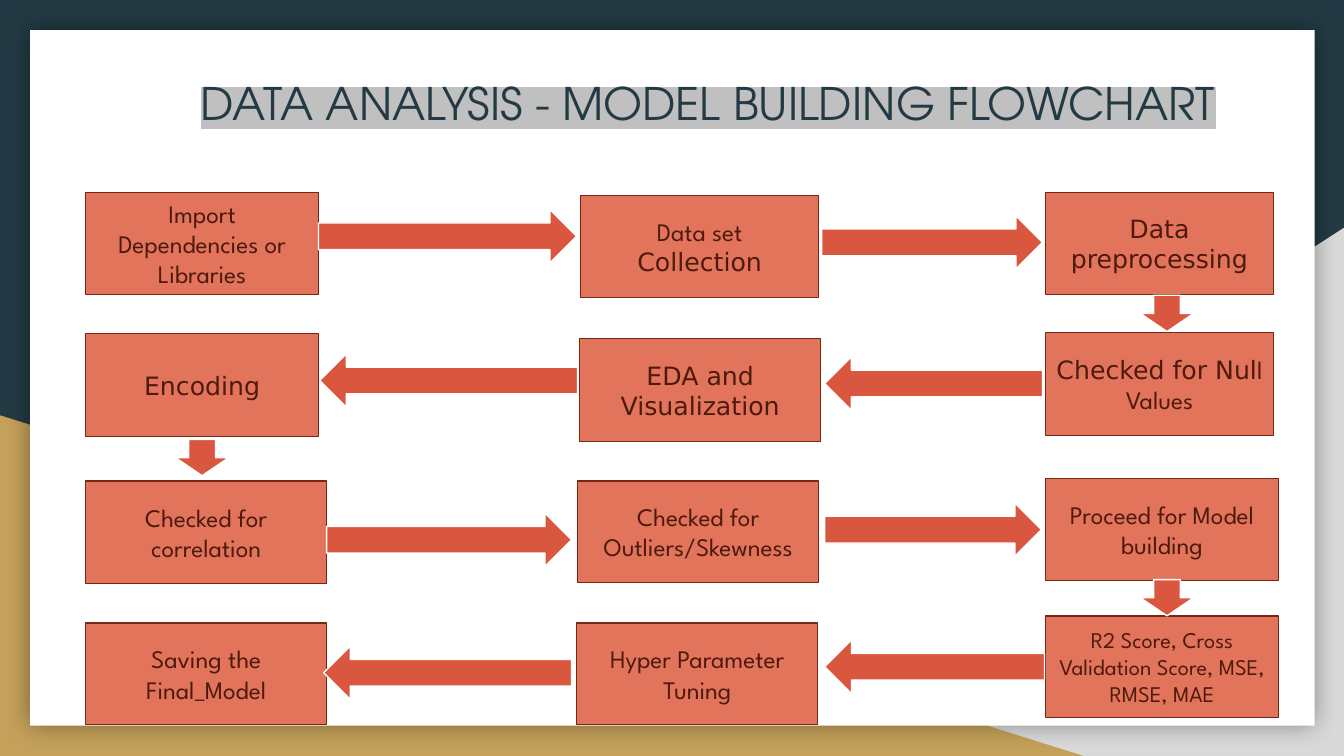
from dataclasses import dataclass

from pptx import Presentation
from pptx.dml.color import RGBColor
from pptx.enum.shapes import MSO_SHAPE
from pptx.enum.text import MSO_ANCHOR, PP_ALIGN
from pptx.oxml import parse_xml
from pptx.oxml.ns import nsdecls
from pptx.util import Inches, Pt

RECTANGLE = MSO_SHAPE.RECTANGLE
PROCESS = MSO_SHAPE.FLOWCHART_PROCESS
TRIANGLE = MSO_SHAPE.RIGHT_TRIANGLE
RIGHT, LEFT, DOWN = MSO_SHAPE.RIGHT_ARROW, MSO_SHAPE.LEFT_ARROW, MSO_SHAPE.DOWN_ARROW
CENTER = PP_ALIGN.CENTER
TOP, MIDDLE = MSO_ANCHOR.TOP, MSO_ANCHOR.MIDDLE


@dataclass(frozen=True)
class Theme:
    navy: str = "233A44"
    gray: str = "D9D9D9"
    gold: str = "C4A15A"
    white: str = "FFFFFF"
    highlight: str = "C0C0C0"
    box: str = "E1745A"
    box_line: str = "772815"
    box_text: str = "4F1A0E"
    arrow: str = "D9563F"
    title_font: str = "TeX Gyre Adventor"
    spartan: str = "League Spartan"
    sans: str = "DejaVu Sans"
    title_size: int = 32
    box_size: int = 18
    small_size: int = 16


theme = Theme()

presentation = Presentation()
presentation.slide_width = Inches(13.33)
presentation.slide_height = Inches(7.5)
slide = presentation.slides.add_slide(presentation.slide_layouts[5])
shapes = slide.shapes


def add_filled(kind, left, top, width, height, fill, line=None):
    shape = shapes.add_shape(kind, Inches(left), Inches(top), Inches(width), Inches(height))
    shape.shadow.inherit = False
    shape.fill.solid()
    shape.fill.fore_color.rgb = RGBColor.from_string(fill)
    if line:
        shape.line.color.rgb = RGBColor.from_string(line)
        shape.line.width = Pt(1)
    else:
        shape.line.fill.background()
    return shape


def format_run(run, font, size, color):
    run.font.name = font
    run.font.size = Pt(size)
    run.font.color.rgb = RGBColor.from_string(color)


# Backdrop: navy ground, two corner triangles and a white sheet with a soft shadow
slide.background.fill.solid()
slide.background.fill.fore_color.rgb = RGBColor.from_string(theme.navy)
gray_corner = add_filled(TRIANGLE, 5.22, 2.26, 8.11, 5.24, theme.gray)
gray_corner._element.spPr.get_or_add_xfrm().set("flipH", "1")
add_filled(TRIANGLE, 0, 4.12, 10.75, 3.38, theme.gold)
sheet = add_filled(RECTANGLE, 0.3, 0.3, 12.74, 6.9, theme.white)
sheet_properties = sheet._element.spPr
sheet_properties.remove(sheet_properties.effectLst)
sheet_properties.append(parse_xml(
    f'<a:effectLst {nsdecls("a")}><a:outerShdw blurRad="{Pt(18)}" dist="0" dir="0" algn="ctr" '
    'rotWithShape="0"><a:srgbClr val="000000"><a:alpha val="40000"/></a:srgbClr>'
    '</a:outerShdw></a:effectLst>'))

# Title, brought in front of the sheet
title = shapes.title
shapes._spTree.append(title._element)
title.left, title.top = Inches(0.22), Inches(0.76)
title.width, title.height = Inches(13.61), Inches(0.64)
title.text_frame.text = "DATA ANALYSIS - MODEL BUILDING FLOWCHART"
title.text_frame.vertical_anchor = TOP
title_paragraph = title.text_frame.paragraphs[0]
title_paragraph.alignment = CENTER
title_paragraph.line_spacing = 0.9
title_run = title_paragraph.runs[0]
format_run(title_run, theme.title_font, theme.title_size, theme.navy)
title_run._r.rPr.find("{*}solidFill").addnext(parse_xml(
    f'<a:highlight {nsdecls("a")}><a:srgbClr val="{theme.highlight}"/></a:highlight>'))

# Steps: left, top, width, height, then text pieces with their fonts
spartan, sans = theme.spartan, theme.sans
steps = [
    (0.85, 1.91, 2.31, 1.01, [("Import Dependencies or Libraries", spartan)]),
    (5.76, 1.94, 2.36, 1.01, [("Data set", spartan), (" Collection", sans)]),
    (10.37, 1.91, 2.26, 1.01, [("Data preprocessing", sans)]),
    (10.37, 3.3, 2.26, 1.02, [("Checked for Nul", sans), ("l Values", spartan)]),
    (5.75, 3.36, 2.39, 1.02, [("EDA and Visualization", sans)]),
    (0.85, 3.31, 2.31, 1.02, [("Encoding", sans)]),
    (0.85, 4.77, 2.39, 1.02, [("Checked for correlation", spartan)]),
    (5.73, 4.77, 2.39, 1.01, [("Checked for Outliers/Skewness", spartan)]),
    (10.37, 4.75, 2.31, 1.01, [("Proceed for Model building", spartan)]),
    (10.37, 6.11, 2.31, 1.01, [("R2 Score, Cross Validation Score, MSE, RMSE, MAE", spartan)]),
    (5.72, 6.18, 2.39, 1.01, [("Hyper Parameter Tuning", spartan)]),
    (0.85, 6.18, 2.39, 1.01, [("Saving the Final_Model", spartan)]),
]
for number, (left, top, width, height, pieces) in enumerate(steps):
    kind = RECTANGLE if number == 0 else PROCESS
    box = add_filled(kind, left, top, width, height, theme.box, theme.box_line)
    box.text_frame.word_wrap = True
    box.text_frame.vertical_anchor = MIDDLE
    paragraph = box.text_frame.paragraphs[0]
    paragraph.alignment = CENTER
    for text, font in pieces:
        run = paragraph.add_run()
        run.text = text
        size = theme.small_size if text.startswith("R2") else theme.box_size
        format_run(run, font, size, theme.box_text)

# Arrows: the flow snakes right, down, left, down
arrows = [
    (RIGHT, 3.16, 2.08, 2.56), (RIGHT, 8.15, 2.14, 2.19), (DOWN, 11.31, 2.93, 0.53),
    (LEFT, 8.18, 3.54, 2.16), (LEFT, 3.17, 3.51, 2.56), (DOWN, 1.74, 4.36, 0.53),
    (RIGHT, 3.24, 5.09, 2.43), (RIGHT, 8.18, 4.99, 2.15), (DOWN, 11.31, 5.75, 0.53),
    (LEFT, 8.18, 6.35, 2.18), (LEFT, 3.21, 6.41, 2.46),
]
for kind, left, top, width in arrows:
    height = 0.36 if kind == DOWN else 0.53
    add_filled(kind, left, top, width, height, theme.arrow, theme.white)

presentation.save("out.pptx")
